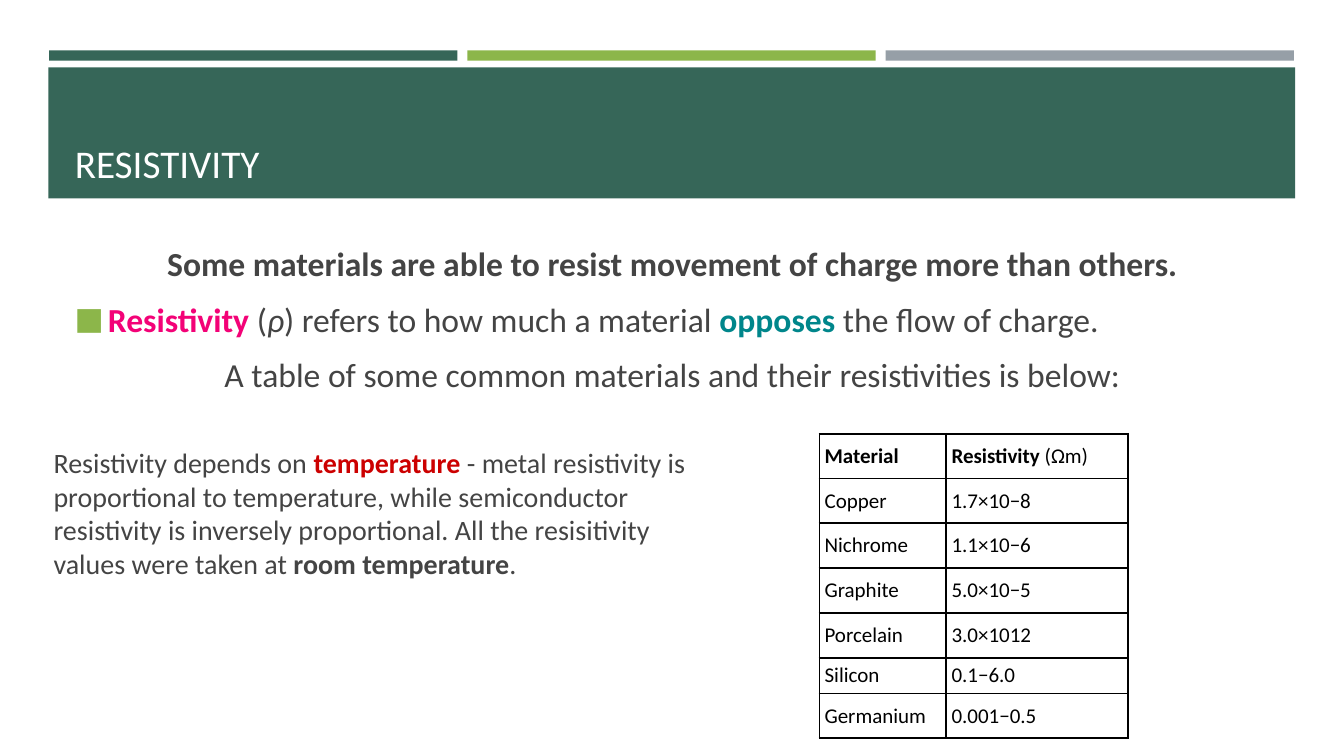
"""Build the slide on resistivity with its table of common materials."""
from dataclasses import dataclass

from lxml.etree import SubElement
from pptx import Presentation
from pptx.dml.color import RGBColor
from pptx.enum.shapes import MSO_SHAPE
from pptx.enum.text import MSO_ANCHOR as Anchor, MSO_AUTO_SIZE as AutoSize, PP_ALIGN as Align
from pptx.oxml.ns import qn
from pptx.util import Cm, Pt


@dataclass(frozen=True)
class Theme:
    font: str = "Calibri"
    green: str = "366658"
    lime: str = "8CB64A"
    grey: str = "969FA7"
    white: str = "FFFFFF"
    black: str = "000000"
    text: str = "444444"
    pink: str = "F30277"
    teal: str = "00868B"
    red: str = "CC0000"
    title_size: float = 28
    body_size: float = 24
    side_size: float = 20
    table_size: float = 15


@dataclass(frozen=True)
class Band:
    left: float
    top: float
    width: float
    height: float
    color: str


@dataclass(frozen=True)
class Material:
    name: str
    resistivity: str
    height: float = 1.13


T = Theme()
BANDS = [
    Band(1.24 + 10.54 * i, 1.27, 10.29, 0.26, color)
    for i, color in enumerate((T.green, T.lime, T.grey))
] + [Band(1.22, 1.7, 31.42, 3.3, T.green)]
MATERIALS = [
    Material("Copper", "1.7×10−8"),
    Material("Nichrome", "1.1×10−6"),
    Material("Graphite", "5.0×10−5"),
    Material("Porcelain", "3.0×1012"),
    Material("Silicon", "0.1−6.0", 0.9),
    Material("Germanium", "0.001−0.5"),
]


def write(p, text: str, size: float = T.body_size, color: str = T.text,
          bold: bool = False, italic: bool = False) -> None:
    r = p.add_run()
    r.text = text
    r.font.name = T.font
    r.font.size = Pt(size)
    r.font.bold = bold
    r.font.italic = italic
    r.font.color.rgb = RGBColor.from_string(color)


def add_band(slide, band: Band) -> None:
    sp = slide.shapes.add_shape(MSO_SHAPE.RECTANGLE, Cm(band.left), Cm(band.top),
                                Cm(band.width), Cm(band.height))
    sp.shadow.inherit = False
    sp.fill.solid()
    sp.fill.fore_color.rgb = RGBColor.from_string(band.color)
    sp.line.fill.background()


def add_text_frame(slide, left: float, top: float, width: float, height: float):
    tf = slide.shapes.add_textbox(Cm(left), Cm(top), Cm(width), Cm(height)).text_frame
    tf.word_wrap = True
    return tf


def add_bullet(p) -> None:
    pPr = p._p.get_or_add_pPr()
    pPr.set("marL", str(Cm(0.84)))
    pPr.set("indent", str(-Cm(0.84)))
    SubElement(SubElement(pPr, qn("a:buClr")), qn("a:srgbClr"), val=T.lime)
    SubElement(pPr, qn("a:buSzPct"), val="92000")
    SubElement(pPr, qn("a:buFont"), typeface=T.font)
    SubElement(pPr, qn("a:buChar"), char="■")


def format_cell(cell) -> None:
    cell.margin_left = cell.margin_right = Cm(0.13)
    cell.margin_top = cell.margin_bottom = Cm(0.13)
    cell.vertical_anchor = Anchor.MIDDLE
    tcPr = cell._tc.get_or_add_tcPr()
    for side in ("lnL", "lnR", "lnT", "lnB"):
        ln = SubElement(tcPr, qn(f"a:{side}"), w=str(Pt(1.5)))
        SubElement(SubElement(ln, qn("a:solidFill")), qn("a:srgbClr"), val=T.black)
    cell.fill.solid()
    cell.fill.fore_color.rgb = RGBColor.from_string(T.white)


def add_title(slide) -> None:
    sp = slide.shapes.title
    sp.element.getparent().append(sp.element)
    sp.left, sp.top, sp.width, sp.height = Cm(1.63), Cm(1.96), Cm(30.63), Cm(2.86)
    tf = sp.text_frame
    tf.auto_size = AutoSize.NONE
    tf.vertical_anchor = Anchor.BOTTOM
    p = tf.paragraphs[0]
    p.alignment = Align.LEFT
    write(p, "RESISTIVITY", size=T.title_size, color=T.white)


def add_body(slide) -> None:
    tf = add_text_frame(slide, 1.63, 6, 30.63, 4.2)
    intro, definition, lead = tf.paragraphs[0], tf.add_paragraph(), tf.add_paragraph()
    intro.alignment = lead.alignment = Align.CENTER
    definition.space_before = lead.space_before = Pt(4.8)
    intro.space_after = definition.space_after = Pt(6)
    write(intro, "Some materials are able to resist movement of charge more than others.",
          bold=True)
    add_bullet(definition)
    write(definition, "Resistivity", color=T.pink, bold=True)
    write(definition, " (")
    write(definition, "ρ", italic=True)
    write(definition, ") refers to how much a material ")
    write(definition, "opposes", color=T.teal, bold=True)
    write(definition, " the flow of charge.")
    write(lead, "A table of some common materials and their resistivities is below:")


def add_materials(slide) -> None:
    table = slide.shapes.add_table(len(MATERIALS) + 1, 2, Cm(20.65), Cm(10.93),
                                   Cm(7.77), Cm(7.68)).table
    table.first_row = table.horz_banding = False
    table.columns[0].width, table.columns[1].width = Cm(3.2), Cm(4.57)
    for cell in table.iter_cells():
        format_cell(cell)
    table.rows[0].height = Cm(1.13)
    head, unit_head = (cell.text_frame.paragraphs[0] for cell in table.rows[0].cells)
    write(head, "Material", size=T.table_size, color=T.black, bold=True)
    write(unit_head, "Resistivity ", size=T.table_size, color=T.black, bold=True)
    write(unit_head, "(Ωm)", size=T.table_size, color=T.black)
    for i, material in enumerate(MATERIALS, start=1):
        table.rows[i].height = Cm(material.height)
        for j, text in enumerate((material.name, material.resistivity)):
            write(table.cell(i, j).text_frame.paragraphs[0], text,
                  size=T.table_size, color=T.black)


def add_side_note(slide) -> None:
    p = add_text_frame(slide, 1.1, 11.1, 17.14, 3.68).paragraphs[0]
    write(p, "Resistivity depends on ", size=T.side_size)
    write(p, "temperature", size=T.side_size, color=T.red, bold=True)
    write(p, " - metal resistivity is proportional to temperature, while semiconductor "
             "resistivity is inversely proportional. All the resisitivity values were "
             "taken at ", size=T.side_size)
    write(p, "room temperature", size=T.side_size, bold=True)
    write(p, ".", size=T.side_size)


def main() -> None:
    prs = Presentation()
    prs.slide_width, prs.slide_height = Cm(33.87), Cm(19.05)
    slide = prs.slides.add_slide(prs.slide_layouts[5])
    for band in BANDS:
        add_band(slide, band)
    add_title(slide)
    add_body(slide)
    add_materials(slide)
    add_side_note(slide)
    prs.save("out.pptx")


if __name__ == "__main__":
    main()
